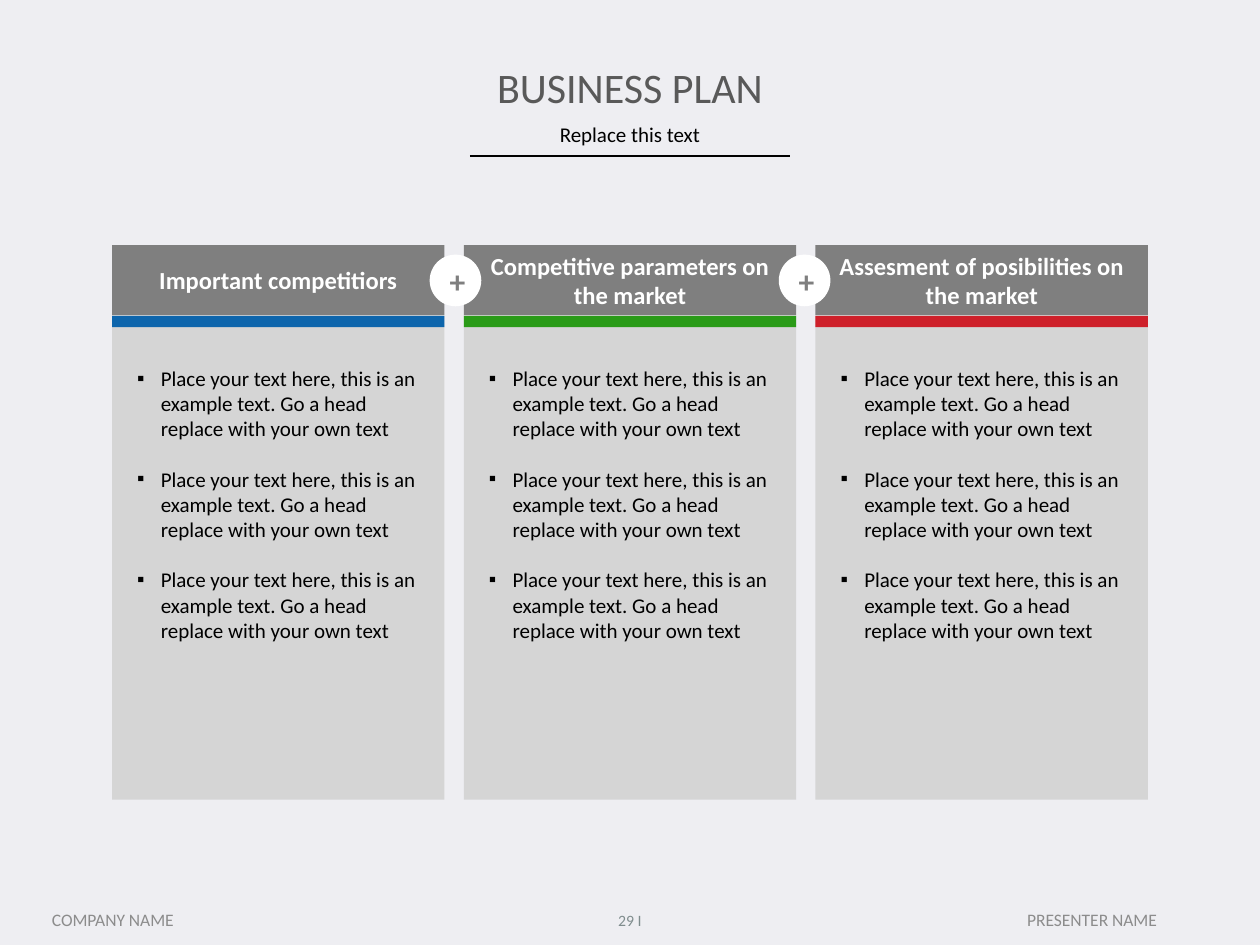
from dataclasses import dataclass

from lxml.etree import SubElement
from pptx import Presentation
from pptx.dml.color import RGBColor
from pptx.enum.shapes import MSO_CONNECTOR, MSO_SHAPE
from pptx.enum.text import MSO_ANCHOR, MSO_AUTO_SIZE, PP_ALIGN
from pptx.oxml.ns import qn
from pptx.util import Pt

FONT = "Calibri"
BACKGROUND = RGBColor(0xEE, 0xEE, 0xF2)
BLACK = RGBColor(0x00, 0x00, 0x00)
WHITE = RGBColor(0xFF, 0xFF, 0xFF)
TITLE_GRAY = RGBColor(0x59, 0x59, 0x59)
HEADER_GRAY = RGBColor(0x7F, 0x7F, 0x7F)
BODY_GRAY = RGBColor(0xD5, 0xD5, 0xD5)
FOOTER_GRAY = RGBColor(0x8C, 0x8C, 0x8C)
NUMBER_GRAY = RGBColor(0x7F, 0x8C, 0x8D)
BLUE = RGBColor(0x0D, 0x65, 0xAC)
GREEN = RGBColor(0x2A, 0x9B, 0x18)
RED = RGBColor(0xCE, 0x20, 0x2A)

# Column grid, in points
COLUMN_LEFT, COLUMN_WIDTH, COLUMN_PITCH = 64, 190, 201
HEADER_TOP, HEADER_HEIGHT = 140, 40
BODY_TOP, BODY_HEIGHT = 180, 277
STRIPE_TOP, STRIPE_HEIGHT = 180.5, 6.5
BULLET_INDENT = 13.5
BULLET_TEXT = ("Place your text here, this is an example text. "
               "Go a head replace with your own text")
BULLET_COUNT = 3


@dataclass(frozen=True)
class Box:
    left: float
    top: float
    width: float
    height: float

    def lengths(self) -> tuple:
        return Pt(self.left), Pt(self.top), Pt(self.width), Pt(self.height)


@dataclass(frozen=True)
class Column:
    heading: str
    color: RGBColor


@dataclass(frozen=True)
class Label:
    text: str
    box: Box
    size: float
    color: RGBColor


COLUMNS = [
    Column("Important competitiors", BLUE),
    Column("Competitive parameters on the market", GREEN),
    Column("Assesment of posibilities on the market", RED),
]
PLUS_SIGNS = [Box(left, 145.5, 29.5, 29.5) for left in (245.5, 445)]
FOOTER = [
    Label("COMPANY NAME", Box(12, 510.5, 105, 30), 10, FOOTER_GRAY),
    Label("29 I", Box(342, 511.5, 36, 29), 9, NUMBER_GRAY),
    Label("PRESENTER NAME", Box(540, 510.5, 168, 30), 10, FOOTER_GRAY),
]


def style_paragraph(paragraph, size: float, color: RGBColor,
                    bold: bool = False, align=PP_ALIGN.CENTER) -> None:
    paragraph.alignment = align
    paragraph.space_before = Pt(0)
    font = paragraph.font
    font.name, font.size, font.bold = FONT, Pt(size), bold
    font.color.rgb = color


def write_text(shape, text: str, size: float, color: RGBColor,
               bold: bool = False, anchor=MSO_ANCHOR.MIDDLE) -> None:
    frame = shape.text_frame
    frame.word_wrap = True
    frame.auto_size = MSO_AUTO_SIZE.NONE
    frame.vertical_anchor = anchor
    frame.text = text
    style_paragraph(frame.paragraphs[0], size, color, bold)


def add_filled(slide, kind, box: Box, color: RGBColor):
    shape = slide.shapes.add_shape(kind, *box.lengths())
    shape.shadow.inherit = False
    shape.fill.solid()
    shape.fill.fore_color.rgb = color
    shape.line.fill.background()
    return shape


def add_label(slide, label: Label) -> None:
    text_box = slide.shapes.add_textbox(*label.box.lengths())
    write_text(text_box, label.text, label.size, label.color)


def write_bullets(shape) -> None:
    frame = shape.text_frame
    frame.word_wrap = True
    frame.vertical_anchor = MSO_ANCHOR.TOP
    frame.margin_left = frame.margin_right = Pt(14.4)
    frame.margin_top, frame.margin_bottom = Pt(28.8), Pt(7.2)
    for index in range(BULLET_COUNT):
        paragraph = frame.add_paragraph() if index else frame.paragraphs[0]
        paragraph.text = BULLET_TEXT
        properties = paragraph._p.get_or_add_pPr()
        properties.set("marL", str(Pt(BULLET_INDENT)))
        properties.set("indent", str(-Pt(BULLET_INDENT)))
        SubElement(properties, qn("a:buFont"), typeface="Arial")
        SubElement(properties, qn("a:buChar"), char="▪")
        style_paragraph(paragraph, 12, BLACK, align=PP_ALIGN.LEFT)
        if index:
            paragraph.space_before = Pt(14.4)


def add_column(slide, column: Column, left: float) -> None:
    body = add_filled(slide, MSO_SHAPE.RECTANGLE,
                      Box(left, BODY_TOP, COLUMN_WIDTH, BODY_HEIGHT), BODY_GRAY)
    write_bullets(body)
    header = add_filled(slide, MSO_SHAPE.RECTANGLE,
                        Box(left, HEADER_TOP, COLUMN_WIDTH, HEADER_HEIGHT),
                        HEADER_GRAY)
    write_text(header, column.heading, 14, WHITE, bold=True)
    add_filled(slide, MSO_SHAPE.RECTANGLE,
               Box(left, STRIPE_TOP, COLUMN_WIDTH, STRIPE_HEIGHT), column.color)


def add_heading(slide) -> None:
    title = slide.shapes.title
    title.left, title.top, title.width, title.height = Box(
        49.5, 31.5, 621, 36).lengths()
    write_text(title, "BUSINESS PLAN", 24, TITLE_GRAY)

    subtitle = slide.shapes.add_textbox(*Box(49.5, 68.5, 621, 19.5).lengths())
    write_text(subtitle, "Replace this text", 12, BLACK, anchor=MSO_ANCHOR.TOP)
    subtitle.text_frame.paragraphs[0].line_spacing = 0.8

    rule = slide.shapes.add_connector(
        MSO_CONNECTOR.STRAIGHT, Pt(268.5), Pt(89.25), Pt(451.5), Pt(89.25))
    rule.line.color.rgb = BLACK
    rule.line.width = Pt(1)
    SubElement(rule._element.spPr, qn("a:effectLst"))


def main() -> None:
    presentation = Presentation()
    presentation.slide_width, presentation.slide_height = Pt(720), Pt(540)
    slide = presentation.slides.add_slide(presentation.slide_layouts[5])
    slide.background.fill.solid()
    slide.background.fill.fore_color.rgb = BACKGROUND

    add_heading(slide)

    # Three columns joined by plus signs
    for index, column in enumerate(COLUMNS):
        add_column(slide, column, COLUMN_LEFT + index * COLUMN_PITCH)
    for box in PLUS_SIGNS:
        circle = add_filled(slide, MSO_SHAPE.OVAL, box, WHITE)
        write_text(circle, "+", 18, HEADER_GRAY, bold=True)

    # Footer
    for label in FOOTER:
        add_label(slide, label)

    presentation.save("out.pptx")


if __name__ == "__main__":
    main()
